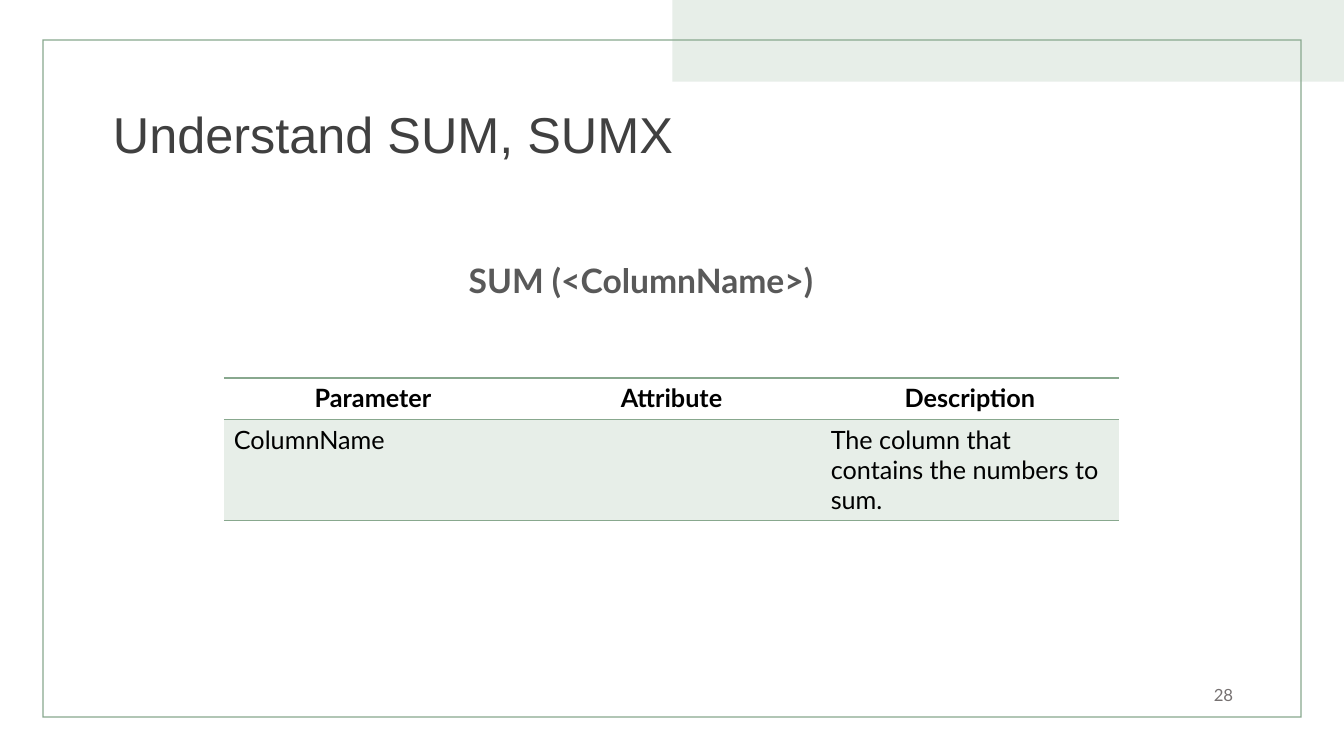
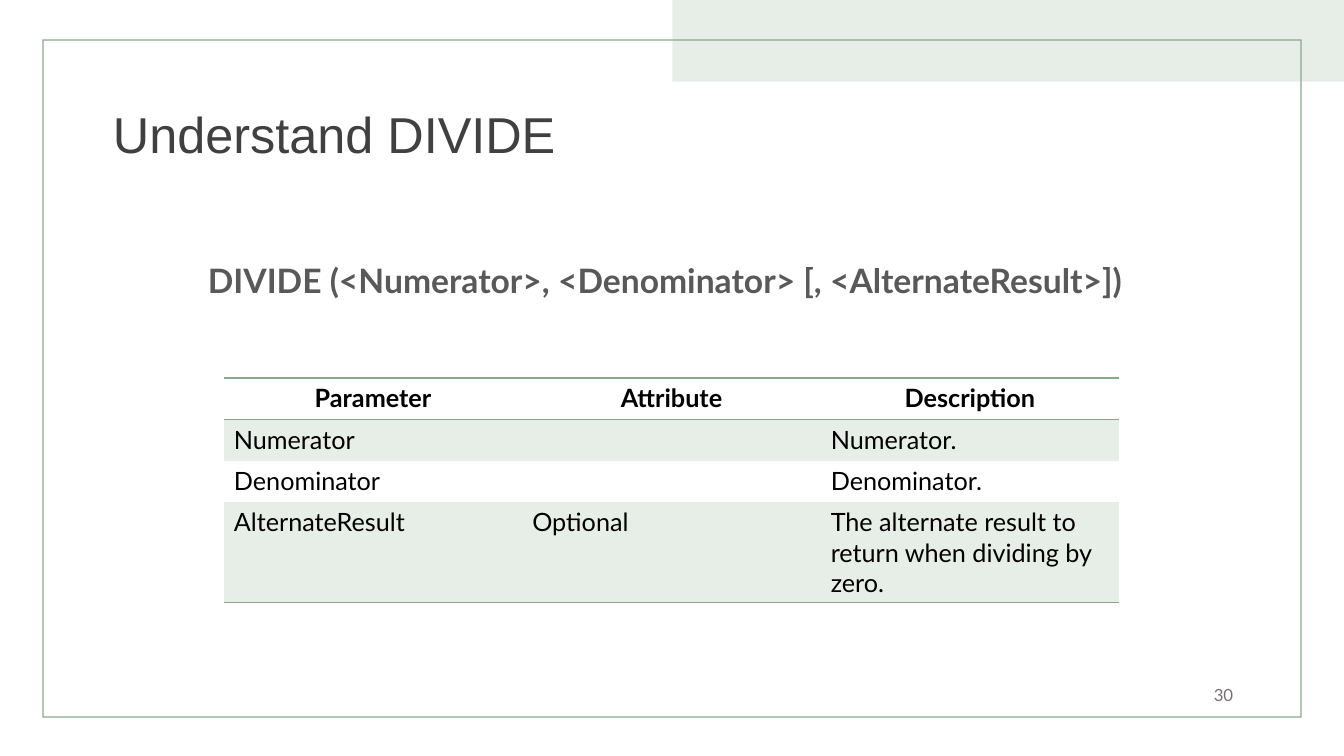
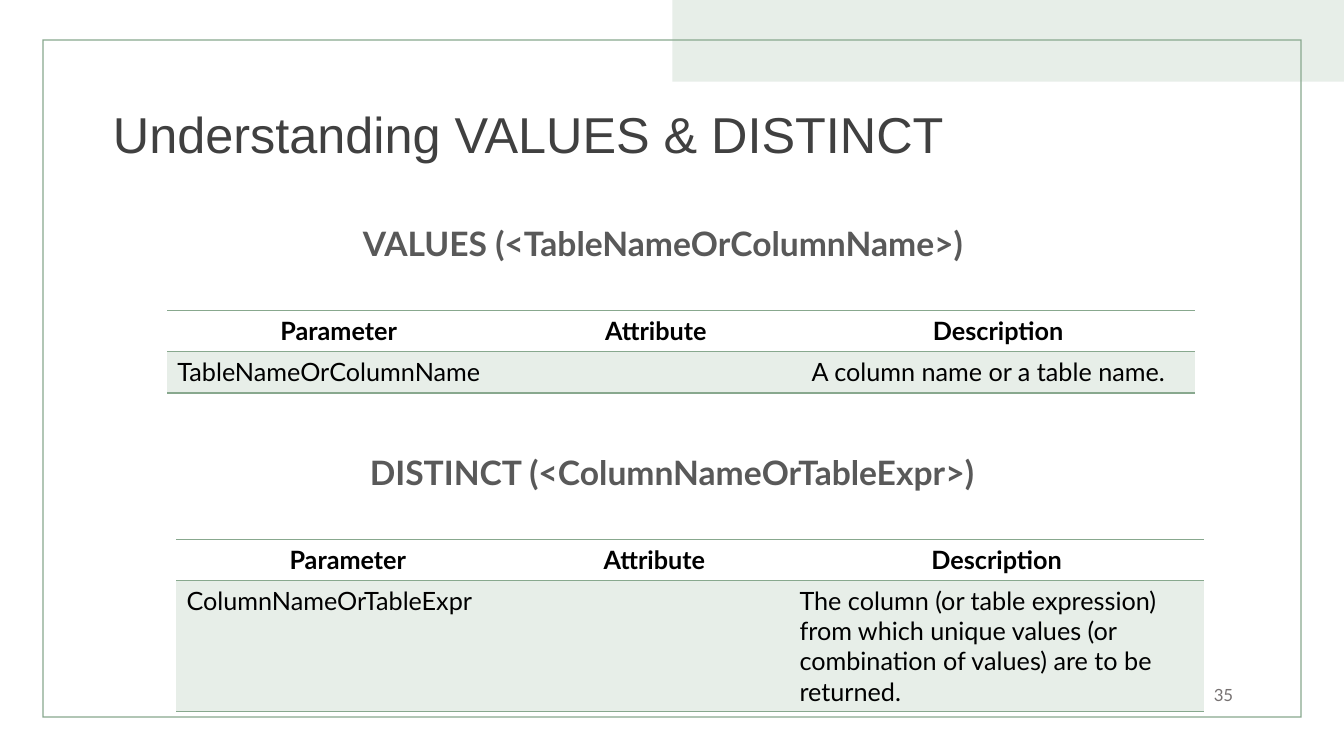
from dataclasses import dataclass

from lxml import etree
from pptx import Presentation
from pptx.dml.color import RGBColor
from pptx.enum.shapes import MSO_SHAPE
from pptx.enum.text import MSO_ANCHOR, MSO_AUTO_SIZE, PP_ALIGN
from pptx.oxml.ns import qn
from pptx.util import Inches, Pt

RECT, FRAME = MSO_SHAPE.RECTANGLE, MSO_SHAPE.FRAME
LEFT, MID, RIGHT = PP_ALIGN.LEFT, PP_ALIGN.CENTER, PP_ALIGN.RIGHT
TOP, CENTER = MSO_ANCHOR.TOP, MSO_ANCHOR.MIDDLE

# Shared style
GREEN, TINT, BLACK = "88A88E", "E7EEE8", "000000"
DARK, GRAY, PALE = "404040", "595959", "767171"
HEAD, BODY = "Arial", "Lato"
ROW = 0.41
LABELS = ("Parameter", "Attribute", "Description")

Box = tuple[float, float, float, float]


@dataclass
class Entry:
    """A function's syntax line and the table of its parameters."""
    syntax: str
    box: Box
    left: float
    top: float
    cols: tuple[float, ...]
    rows: list[tuple[str, str, str]]
    align: PP_ALIGN = MID


@dataclass
class Page:
    title: str
    number: int
    items: list[Entry]


THIRDS = (2.96, 2.96, 2.96)
PAGES = [
    Page("Understand SUM, SUMX", 28, [
        Entry("SUM (<ColumnName>)", (4.55, 2.57, 4.43, 0.48), 2.22, 3.75, THIRDS,
              [("ColumnName", "", "The column that contains the numbers to sum.")],
              LEFT),
    ]),
    Page("Understand DIVIDE", 30, [
        Entry("DIVIDE (<Numerator>, <Denominator> [, <AlternateResult>])",
              (1.4, 2.57, 10.39, 0.48), 2.22, 3.75, THIRDS,
              [("Numerator", "", "Numerator."),
               ("Denominator", "", "Denominator."),
               ("AlternateResult", "Optional",
                "The alternate result to return when dividing by zero.")]),
    ]),
    Page("Understanding VALUES & DISTINCT", 35, [
        Entry("VALUES (<TableNameOrColumnName>)", (1.02, 2.21, 11.11, 0.57),
              1.66, 3.08, (3.4, 2.89, 3.9),
              [("TableNameOrColumnName", "", "A column name or a table name.")]),
        Entry("DISTINCT (<ColumnNameOrTableExpr>)", (1.11, 4.48, 11.11, 0.57),
              1.75, 5.35, (3.4, 2.68, 4.11),
              [("ColumnNameOrTableExpr", "",
                "The column (or table expression) from which unique values "
                "(or combination of values) are to be returned.")]),
    ]),
]


def color(code: str) -> RGBColor:
    return RGBColor.from_string(code)


def write(frame, text: str, *, size: float = 18, font: str = BODY, ink: str = BLACK,
          bold: bool = False, align: PP_ALIGN = LEFT, line: float = 1,
          before: float = 0, after: float = 0) -> None:
    """Fill a text frame with one formatted paragraph."""
    par = frame.paragraphs[0]
    par.alignment, par.line_spacing = align, line
    par.space_before, par.space_after = Pt(before), Pt(after)
    run = par.add_run()
    run.text = text
    run.font.name, run.font.size, run.font.bold = font, Pt(size), bold
    run.font.color.rgb = color(ink)


def label(slide, box: Box, text: str, anchor: MSO_ANCHOR = TOP, **style) -> None:
    frame = slide.shapes.add_textbox(*map(Inches, box)).text_frame
    frame.word_wrap, frame.vertical_anchor = True, anchor
    write(frame, text, **style)


def block(slide, kind: MSO_SHAPE, box: Box, fill: str):
    shape = slide.shapes.add_shape(kind, *map(Inches, box))
    shape.shadow.inherit = False
    shape.fill.solid()
    shape.fill.fore_color.rgb = color(fill)
    shape.line.fill.background()
    return shape


def border(cell, lined: str) -> None:
    """Rule the sides named in lined (of L, R, T, B) and clear the others."""
    props = cell._tc.get_or_add_tcPr()
    for side in "LRTB":
        edge = etree.SubElement(props, qn(f"a:ln{side}"), w=str(Pt(1)))
        if side in lined:
            fill = etree.SubElement(edge, qn("a:solidFill"))
            etree.SubElement(fill, qn("a:srgbClr"), val=GREEN)
        else:
            etree.SubElement(edge, qn("a:noFill"))


def grid(slide, item: Entry) -> None:
    rows = [LABELS, *item.rows]
    size = (item.left, item.top, sum(item.cols), ROW * len(rows))
    table = slide.shapes.add_table(len(rows), len(item.cols),
                                   *map(Inches, size)).table
    table.horz_banding = False
    for col, width in zip(table.columns, item.cols):
        col.width = Inches(width)
    last = len(rows) - 1
    for r, texts in enumerate(rows):
        table.rows[r].height = Inches(ROW)
        # Rules above and below the header, and below the last row
        lined = "TB" if r == 0 else ("T" if r == 1 else "") + ("B" if r == last else "")
        for c, text in enumerate(texts):
            cell = table.cell(r, c)
            border(cell, lined)
            if r % 2:
                cell.fill.solid()
                cell.fill.fore_color.rgb = color(TINT)
            else:
                cell.fill.background()
            if text:
                write(cell.text_frame, text, bold=r == 0, align=LEFT if r else MID)


def base(deck, page: Page):
    """Add a slide with the band, frame, title and number."""
    slide = deck.slides.add_slide(deck.slide_layouts[5])
    block(slide, RECT, (6.67, 0, 6.67, 0.81), TINT)
    block(slide, FRAME, (0.42, 0.39, 12.49, 6.73), GREEN).adjustments[0] = 0.002
    title = slide.shapes.title
    title.left, title.top, title.width, title.height = map(
        Inches, (1.02, 0.53, 11.5, 1.67))
    frame = title.text_frame
    frame.word_wrap, frame.vertical_anchor = True, CENTER
    frame.auto_size = MSO_AUTO_SIZE.NONE
    write(frame, page.title, size=36, font=HEAD, ink=DARK, line=0.9)
    label(slide, (9.33, 6.69, 3, 0.4), str(page.number), CENTER,
          size=12, ink=PALE, align=RIGHT)
    return slide


def main() -> None:
    deck = Presentation()
    deck.slide_width, deck.slide_height = Inches(13.33), Inches(7.5)
    for page in PAGES:
        slide = base(deck, page)
        for item in page.items:
            label(slide, item.box, item.syntax, size=24, ink=GRAY, bold=True,
                  align=item.align, line=0.9, before=10, after=12)
            grid(slide, item)
    deck.save("out.pptx")


if __name__ == "__main__":
    main()
